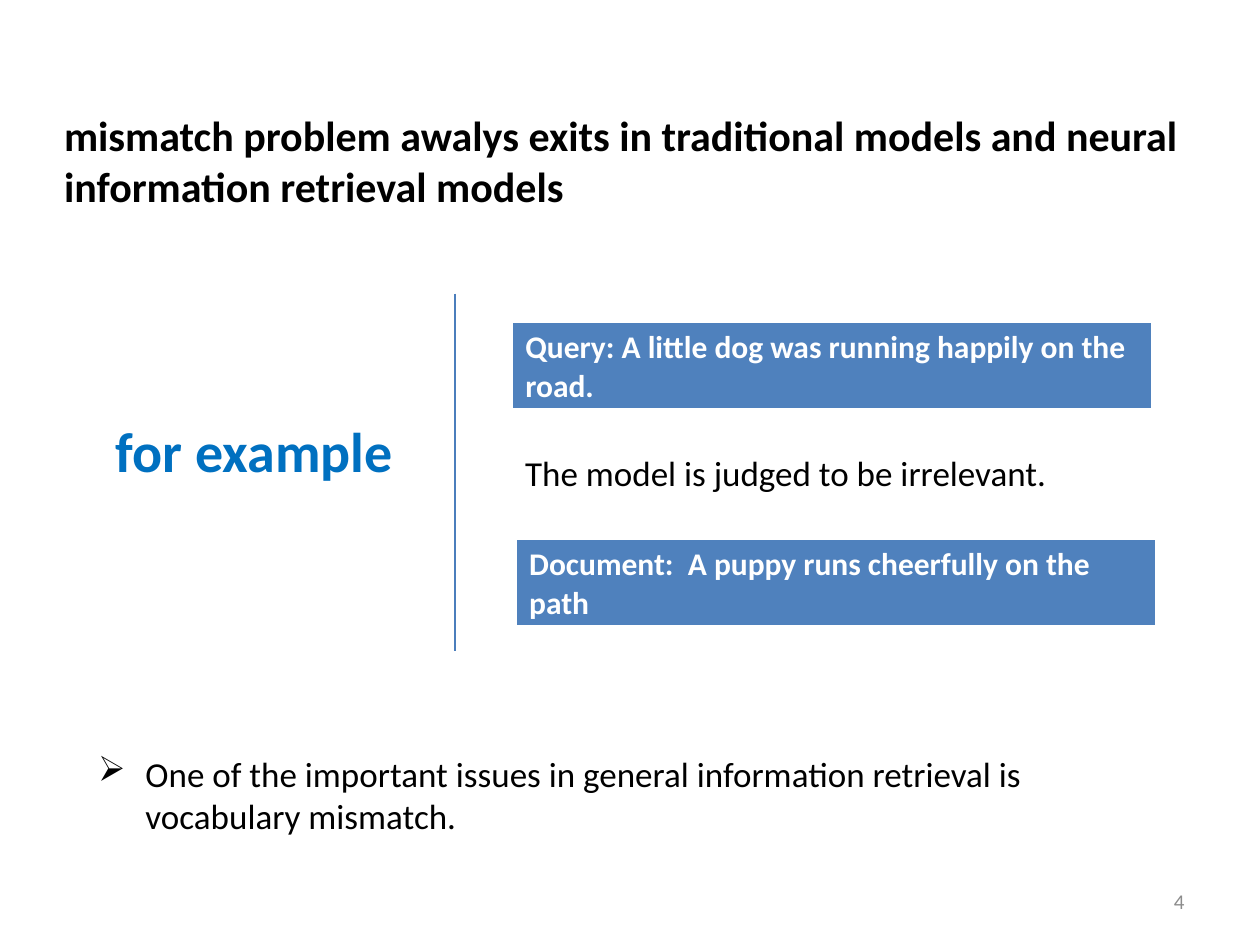
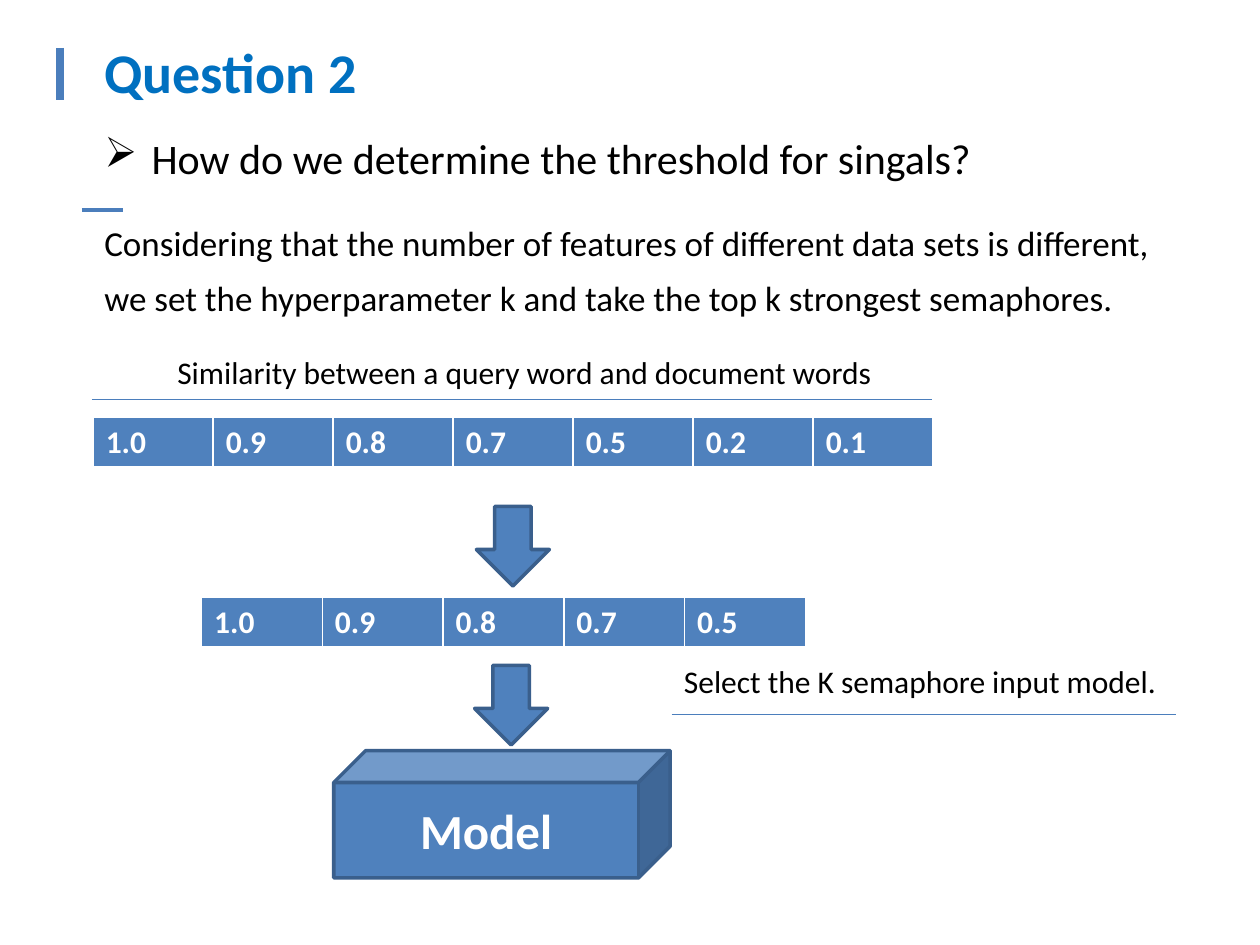
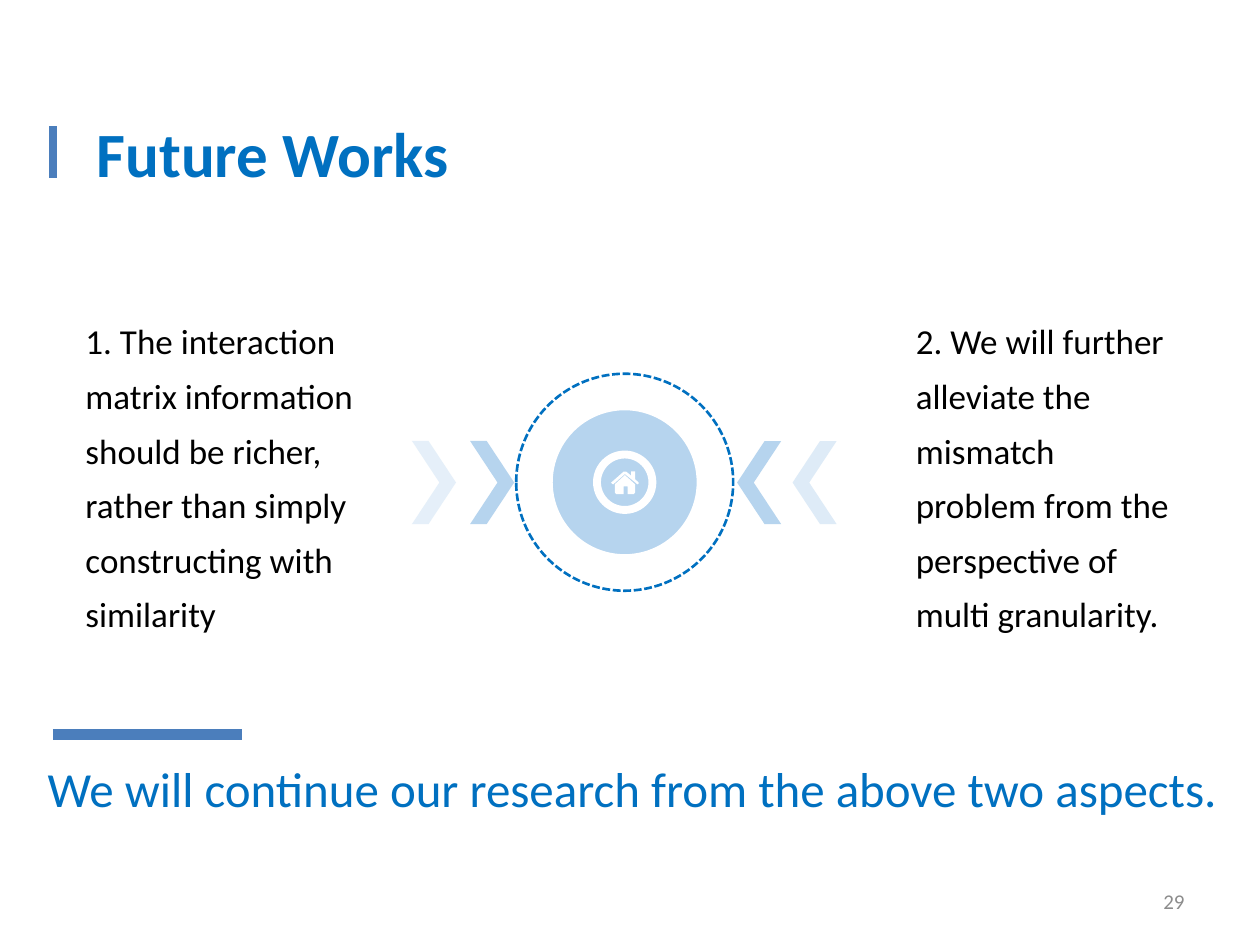
from dataclasses import dataclass
from typing import Any

from lxml.etree import SubElement
from pptx import Presentation
from pptx.dml.color import RGBColor
from pptx.enum.dml import MSO_LINE
from pptx.enum.shapes import MSO_CONNECTOR, MSO_SHAPE
from pptx.enum.text import MSO_ANCHOR, PP_ALIGN
from pptx.oxml.ns import qn
from pptx.shapes.autoshape import Shape
from pptx.slide import Slide
from pptx.util import Pt

BLACK = RGBColor(0x00, 0x00, 0x00)
WHITE = RGBColor(0xFF, 0xFF, 0xFF)
GRAY = RGBColor(0x8C, 0x8C, 0x8C)
TITLE_BLUE = RGBColor(0x00, 0x70, 0xC0)
RULE_BLUE = RGBColor(0x4B, 0x7E, 0xBC)
FILL_BLUE = RGBColor(0x4F, 0x81, 0xBD)
EDGE_BLUE = RGBColor(0x3A, 0x5F, 0x8C)
PALE_BLUE = RGBColor(0xB6, 0xD4, 0xEE)

FONT_NAME = "Calibri"
ACCENT_HEIGHT = 29.5
CELL_BORDERS = {"lnL": 1, "lnR": 1, "lnT": 1, "lnB": 3}
ARROW_SIZE = (41.75, 45.5)
CHEVRON_SIZE = (25.2, 47.5)
EMBLEM_CENTER = (357, 275.6)
HOUSE_ROOF = [(158, 70), (151, 75), (79, 16), (12, 75), (7, 72), (0, 65), (72, 2), (86, 2),
              (115, 25), (115, 0), (137, 0), (137, 45), (158, 65)]
HOUSE_BODY = [(137, 122), (130, 130), (94, 130), (94, 86), (72, 86), (72, 130), (29, 130),
              (22, 122), (22, 74), (79, 22), (137, 74)]


@dataclass(frozen=True)
class Box:
    left: float
    top: float
    width: float
    height: float

    def lengths(self) -> tuple[Pt, Pt, Pt, Pt]:
        return Pt(self.left), Pt(self.top), Pt(self.width), Pt(self.height)


@dataclass(frozen=True)
class Label:
    text: str
    box: Box
    size: float = 20
    color: RGBColor = BLACK
    bold: bool = False
    wrap: bool = True
    anchor: MSO_ANCHOR = MSO_ANCHOR.TOP
    align: PP_ALIGN = PP_ALIGN.LEFT
    line_spacing: float = 1.0
    bullet: str = ""


@dataclass(frozen=True)
class Rule:
    start: tuple[float, float]
    end: tuple[float, float]
    width: float = 0.75


@dataclass(frozen=True)
class Strip:
    values: list[str]
    box: Box


@dataclass(frozen=True)
class Figure:
    kind: MSO_SHAPE
    box: Box
    fill: RGBColor | None = FILL_BLUE
    line: RGBColor | None = EDGE_BLUE
    line_width: float = 2
    dash: MSO_LINE | None = None
    opacity: int = 100
    rotation: float = 0
    adjustment: float | None = None


@dataclass(frozen=True)
class Chevron:
    left: float
    rotation: float
    opacity: int


def apply_format(target: Any, values: dict[str, Any]) -> None:
    for name, value in values.items():
        setattr(target, name, value)


def style_paragraph(paragraph: Any, label: Label) -> None:
    apply_format(paragraph, {"alignment": label.align, "line_spacing": label.line_spacing})
    run = paragraph.add_run()
    run.text = label.text
    apply_format(run.font, {"name": FONT_NAME, "size": Pt(label.size), "bold": label.bold})
    run.font.color.rgb = label.color
    if label.bullet:
        properties = paragraph._p.get_or_add_pPr()
        properties.set("marL", str(Pt(27)))
        properties.set("indent", str(Pt(-27)))
        SubElement(properties, qn("a:buChar"), char=label.bullet)


def add_label(slide: Slide, label: Label) -> None:
    frame = slide.shapes.add_textbox(*label.box.lengths()).text_frame
    apply_format(frame, {"word_wrap": label.wrap, "vertical_anchor": label.anchor})
    style_paragraph(frame.paragraphs[0], label)


def add_rule(slide: Slide, rule: Rule) -> None:
    points = [Pt(value) for value in (*rule.start, *rule.end)]
    connector = slide.shapes.add_connector(MSO_CONNECTOR.STRAIGHT, *points)
    connector.line.color.rgb = RULE_BLUE
    connector.line.width = Pt(rule.width)
    SubElement(connector._element.spPr, qn("a:effectLst"))


def add_accent(slide: Slide, left: float, top: float) -> None:
    add_rule(slide, Rule((left, top), (left, top + ACCENT_HEIGHT), 4.5))


def add_page_number(slide: Slide, number: int) -> None:
    add_label(slide, Label(str(number), Box(516, 500.5, 168, 28.75), 12, GRAY,
                           anchor=MSO_ANCHOR.MIDDLE, align=PP_ALIGN.RIGHT))


def add_strip(slide: Slide, strip: Strip) -> None:
    table = slide.shapes.add_table(1, len(strip.values), *strip.box.lengths()).table
    apply_format(table, {"first_row": False, "horz_banding": False})
    for column, value in zip(table.columns, strip.values):
        column.width = Pt(strip.box.width / len(strip.values))
    for cell, value in zip(table.rows[0].cells, strip.values):
        properties = cell._tc.get_or_add_tcPr()
        for side, width in CELL_BORDERS.items():
            border = SubElement(properties, qn(f"a:{side}"), w=str(Pt(width)))
            fill = SubElement(border, qn("a:solidFill"))
            SubElement(fill, qn("a:srgbClr"), val=str(WHITE))
        cell.fill.solid()
        cell.fill.fore_color.rgb = FILL_BLUE
        style_paragraph(cell.text_frame.paragraphs[0],
                        Label(value, strip.box, 18, WHITE, bold=True))


def add_figure(slide: Slide, figure: Figure) -> Shape:
    shape = slide.shapes.add_shape(figure.kind, *figure.box.lengths())
    shape.shadow.inherit = False
    shape.rotation = figure.rotation
    if figure.adjustment is not None:
        shape.adjustments[0] = figure.adjustment
    if figure.fill is None:
        shape.fill.background()
    else:
        shape.fill.solid()
        shape.fill.fore_color.rgb = figure.fill
    if figure.opacity < 100:
        color = shape._element.spPr.find(qn("a:solidFill"))[0]
        SubElement(color, qn("a:alpha"), val=str(figure.opacity * 1000))
    if figure.line is None:
        shape.line.fill.background()
    else:
        shape.line.color.rgb = figure.line
        apply_format(shape.line, {"width": Pt(figure.line_width), "dash_style": figure.dash})
    return shape


def centered_box(diameter: float) -> Box:
    center_x, center_y = EMBLEM_CENTER
    return Box(center_x - diameter / 2, center_y - diameter / 2, diameter, diameter)


def add_house(slide: Slide) -> None:
    builder = slide.shapes.build_freeform(*HOUSE_ROOF[0], scale=Pt(0.1))
    builder.add_line_segments(HOUSE_ROOF[1:])
    builder.move_to(*HOUSE_BODY[0])
    builder.add_line_segments(HOUSE_BODY[1:])
    house = builder.convert_to_shape(Pt(349.2), Pt(269.3))
    house.shadow.inherit = False
    house.fill.solid()
    house.fill.fore_color.rgb = WHITE
    house.line.fill.background()


def build_mismatch(slide: Slide) -> None:
    add_page_number(slide, 4)
    labels = [
        Label("mismatch problem awalys exits in traditional models and neural "
              "information retrieval models", Box(29.5, 30.25, 661, 122.5), 24,
              bold=True, anchor=MSO_ANCHOR.MIDDLE),
        Label("for example", Box(59, 234.75, 174.25, 46), 32, TITLE_BLUE, bold=True, wrap=False),
        Label("The model is judged to be irrelevant.", Box(293, 254.25, 315.5, 31.5), wrap=False),
        Label("One of the important issues in general information retrieval is "
              "vocabulary mismatch.", Box(49, 426.25, 635, 55.5), bullet="➢"),
    ]
    strips = [
        Strip(["Query: A little dog was running happily on the road."],
              Box(293, 184.25, 365, 50.4)),
        Strip(["Document:  A puppy runs cheerfully on the path"], Box(295.2, 308.2, 365, 50.4)),
    ]
    for strip in strips:
        add_strip(slide, strip)
    for label in labels:
        add_label(slide, label)
    add_rule(slide, Rule((260, 167.75), (260, 372.25)))


def build_threshold(slide: Slide) -> None:
    scores = ["1.0", "0.9", "0.8", "0.7", "0.5", "0.2", "0.1"]
    labels = [
        Label("Question 2", Box(52.5, 18, 180, 46), 32, TITLE_BLUE, bold=True),
        Label("How do we determine the threshold for singals?", Box(52.5, 72, 536, 36), 24,
              bullet="➢"),
        Label("Considering that the number of features of different data sets is different, "
              "we set the hyperparameter k and take the top k strongest semaphores.",
              Box(52.5, 116, 619, 68), line_spacing=1.3),
        Label("Similarity between a query word and document words",
              Box(94.25, 198, 415.5, 29), 18),
        Label("Select the K semaphore input model.", Box(383.75, 375, 288, 29), 18),
    ]
    for label in labels:
        add_label(slide, label)
    add_strip(slide, Strip(scores, Box(53.25, 238.25, 480, 29.2)))
    add_strip(slide, Strip(scores[:5], Box(115.2, 341.25, 345, 29.2)))
    for left, top in [(272.2, 289.4), (271.2, 380.2)]:
        add_figure(slide, Figure(MSO_SHAPE.DOWN_ARROW, Box(left, top, *ARROW_SIZE)))
    model_box = Box(190.75, 429, 192.25, 72.75)
    model = add_figure(slide, Figure(MSO_SHAPE.CUBE, model_box))
    model.text_frame.vertical_anchor = MSO_ANCHOR.MIDDLE
    style_paragraph(model.text_frame.paragraphs[0],
                    Label("Model", model_box, 28, WHITE, bold=True, align=PP_ALIGN.CENTER))
    add_accent(slide, 34.5, 27.4)
    for rule in [Rule((46.75, 120.25), (70.5, 120.25), 2.25),
                 Rule((52.5, 228.25), (532.75, 228.25)),
                 Rule((383.75, 408.25), (671.75, 408.25))]:
        add_rule(slide, rule)


def build_future(slide: Slide) -> None:
    add_page_number(slide, 29)
    labels = [
        Label("Future Works", Box(48.25, 41.75, 252, 90), 36, TITLE_BLUE, bold=True,
              anchor=MSO_ANCHOR.MIDDLE),
        Label("We will continue our research from the above two aspects.",
              Box(20.2, 419.75, 705.5, 51), 28, TITLE_BLUE, line_spacing=1.3),
        Label("1. The interaction matrix information should be richer, rather than simply "
              "constructing with similarity", Box(41.75, 172, 193.75, 196.5), line_spacing=1.3),
        Label("2. We will further alleviate the mismatch problem from the perspective of "
              "multi granularity.", Box(516.25, 172, 162, 196.5), line_spacing=1.3),
    ]
    for label in labels:
        add_label(slide, label)
    add_accent(slide, 30.25, 72)
    add_figure(slide, Figure(MSO_SHAPE.OVAL, centered_box(84.25), PALE_BLUE, WHITE))
    chevrons = [Chevron(268.6, 0, 100), Chevron(421.2, 180, 100),
                Chevron(235.4, 0, 35), Chevron(452.9, 180, 45)]
    for chevron in chevrons:
        add_figure(slide, Figure(MSO_SHAPE.CHEVRON, Box(chevron.left, 252, *CHEVRON_SIZE),
                                 PALE_BLUE, None, opacity=chevron.opacity,
                                 rotation=chevron.rotation, adjustment=0.623))
    add_figure(slide, Figure(MSO_SHAPE.OVAL, centered_box(31.7), None, WHITE, 4.5))
    add_house(slide)
    add_figure(slide, Figure(MSO_SHAPE.OVAL, centered_box(124), None, TITLE_BLUE, 1.5,
                             MSO_LINE.SQUARE_DOT))
    add_rule(slide, Rule((30.25, 419.75), (138.25, 419.75), 6))


def main() -> None:
    presentation = Presentation()
    apply_format(presentation, {"slide_width": Pt(720), "slide_height": Pt(540)})
    for build in (build_mismatch, build_threshold, build_future):
        build(presentation.slides.add_slide(presentation.slide_layouts[6]))
    presentation.save("out.pptx")


if __name__ == "__main__":
    main()
